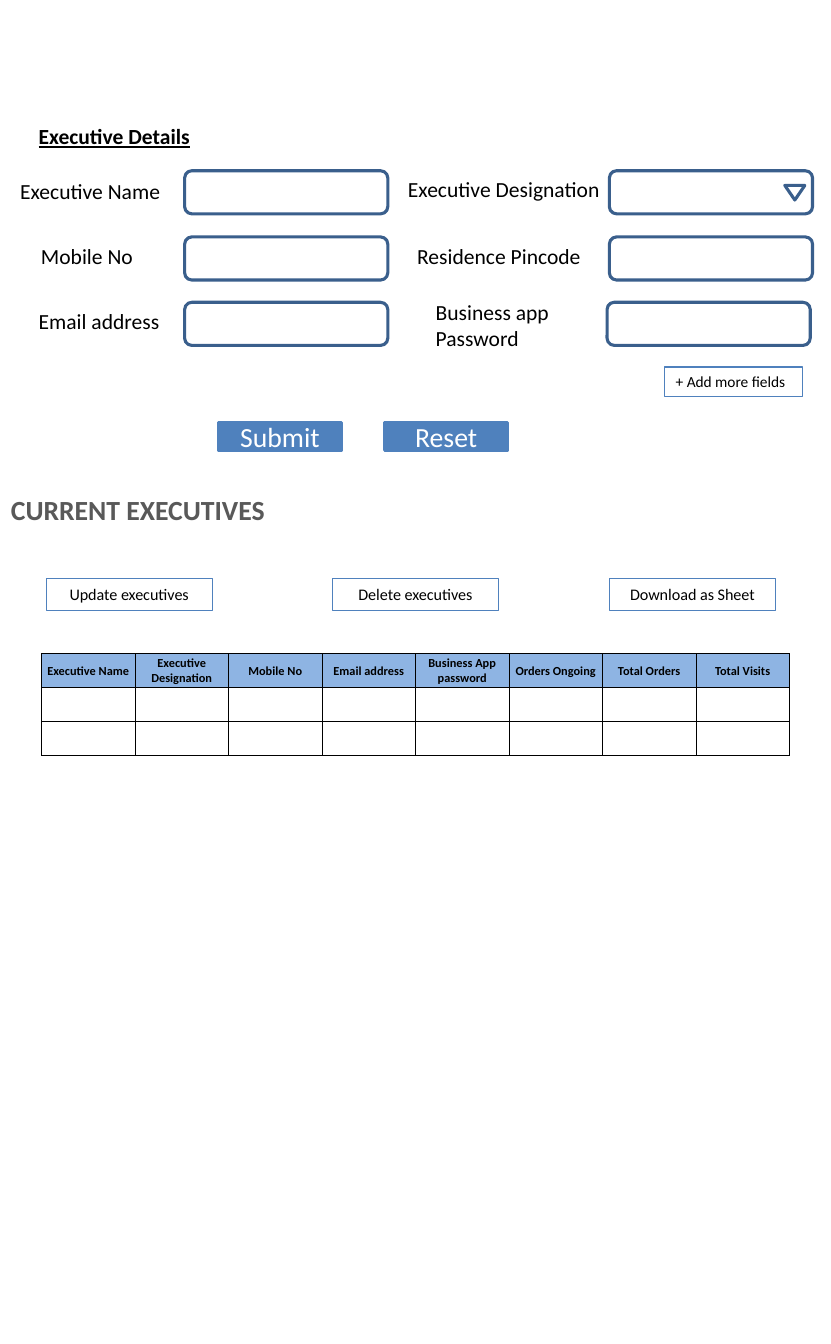
from dataclasses import dataclass

from lxml.etree import SubElement
from pptx import Presentation
from pptx.dml.color import RGBColor
from pptx.enum.shapes import MSO_SHAPE
from pptx.enum.text import MSO_ANCHOR, PP_ALIGN
from pptx.oxml.ns import qn
from pptx.util import Pt


@dataclass(frozen=True)
class Theme:
    """Colours, type sizes and line widths of the form."""
    font: str = "Calibri"
    ink: str = "000000"
    white: str = "FFFFFF"
    grey: str = "595959"
    field_line: str = "3A5F8C"
    accent: str = "4F81BD"
    header_fill: str = "8EB4E3"
    label_size: float = 14
    title_size: float = 18
    action_size: float = 10.5
    add_size: float = 10
    table_size: float = 8
    thick: float = 2
    thin: float = 0.75
    border: float = 0.5


THEME = Theme()
FIELD_SIZE = (132, 28)
FIELD_ROWS = (111, 154, 196.5)
# label, left, top, width, height
LABELS = (
    ("Executive Name", 6, 112, 108, 24.5),
    ("Mobile No", 19.5, 154.5, 96, 24.5),
    ("Email address", 18, 196.5, 96, 24.5),
    ("Executive Designation", 258, 111, 156, 24.5),
    ("Residence Pincode", 264, 154.5, 126, 24.5),
    ("Business app Password", 276, 191, 102, 41),
)
ACTIONS = (("Update executives", 30), ("Delete executives", 216),
           ("Download as Sheet", 396))
HEADERS = ("Executive Name", "Executive Designation", "Mobile No", "Email address",
           "Business App password", "Orders Ongoing", "Total Orders", "Total Visits")


def set_values(target, values):
    """Set each named attribute of the target."""
    for name, value in values.items():
        setattr(target, name, value)


def write(text_frame, text, size, color=THEME.ink, align=PP_ALIGN.LEFT, **font_values):
    """Write one paragraph in the theme font."""
    paragraph = text_frame.paragraphs[0]
    paragraph.alignment = align
    run = paragraph.add_run()
    run.text = text
    set_values(run.font, {"name": THEME.font, "size": Pt(size), **font_values})
    run.font.color.rgb = RGBColor.from_string(color)


def add_label(slide, text, left, top, width, height, size=THEME.label_size, **format_values):
    """Add a wrapped text box."""
    box = slide.shapes.add_textbox(Pt(left), Pt(top), Pt(width), Pt(height))
    box.text_frame.word_wrap = True
    write(box.text_frame, text, size, **format_values)


def add_outline(slide, kind, left, top, width, height, line, weight, fill=None):
    """Add a preset shape with an outline and an optional fill."""
    shape = slide.shapes.add_shape(kind, Pt(left), Pt(top), Pt(width), Pt(height))
    shape.shadow.inherit = False
    shape.line.color.rgb = RGBColor.from_string(line)
    shape.line.width = Pt(weight)
    if fill:
        shape.fill.solid()
        shape.fill.fore_color.rgb = RGBColor.from_string(fill)
    else:
        shape.fill.background()
    return shape


def add_field(slide, left, top):
    """Add an empty input field."""
    add_outline(slide, MSO_SHAPE.ROUNDED_RECTANGLE, left, top, *FIELD_SIZE,
                THEME.field_line, THEME.thick)


def add_dropdown_arrow(slide, left, top):
    """Add the downward triangle of a drop-down field."""
    arrow = add_outline(slide, MSO_SHAPE.ISOSCELES_TRIANGLE, left, top, 13, 9.5,
                        THEME.field_line, THEME.thick)
    arrow.rotation = 180


def add_action(slide, text, left, top, width, height, size, align=PP_ALIGN.CENTER):
    """Add a thinly outlined action box."""
    box = add_outline(slide, MSO_SHAPE.RECTANGLE, left, top, width, height,
                      THEME.accent, THEME.thin)
    set_values(box.text_frame, {"word_wrap": True, "vertical_anchor": MSO_ANCHOR.TOP})
    write(box.text_frame, text, size, align=align)


def add_button(slide, text, left):
    """Add a filled form button."""
    button = add_outline(slide, MSO_SHAPE.RECTANGLE, left, 274.5, 80, 18,
                         THEME.accent, THEME.thick, THEME.accent)
    button.text_frame.vertical_anchor = MSO_ANCHOR.MIDDLE
    write(button.text_frame, text, THEME.title_size, THEME.white, PP_ALIGN.CENTER)


def add_borders(cell):
    """Draw all four borders of a table cell."""
    properties = cell._tc.get_or_add_tcPr()
    for index, side in enumerate(("lnL", "lnR", "lnT", "lnB")):
        line = SubElement(properties, qn(f"a:{side}"), w=str(Pt(THEME.border)))
        fill = SubElement(line, qn("a:solidFill"))
        SubElement(fill, qn("a:srgbClr"), val=THEME.ink)
        properties.insert(index, line)


def add_executive_table(slide):
    """Add the table with a header row and two empty rows."""
    frame = slide.shapes.add_table(3, len(HEADERS), Pt(27), Pt(424.8), Pt(486), Pt(66))
    table = frame.table
    set_values(table, {"first_row": False, "horz_banding": False})
    for row in table.rows:
        row.height = Pt(22)
    for cell in table.iter_cells():
        set_values(cell, {"margin_left": Pt(0.75), "margin_right": Pt(0.75),
                          "margin_top": Pt(0.75), "margin_bottom": Pt(0),
                          "vertical_anchor": MSO_ANCHOR.MIDDLE})
        cell.fill.background()
        add_borders(cell)
    for column, header in enumerate(HEADERS):
        cell = table.cell(0, column)
        cell.fill.solid()
        cell.fill.fore_color.rgb = RGBColor.from_string(THEME.header_fill)
        write(cell.text_frame, header, THEME.table_size, align=PP_ALIGN.CENTER, bold=True)
        for row in (1, 2):
            paragraph = table.cell(row, column).text_frame.paragraphs[0]
            SubElement(paragraph._p, qn("a:endParaRPr"), sz=str(THEME.table_size * 100))


def main():
    """Build the executive form and save it."""
    presentation = Presentation()
    set_values(presentation, {"slide_width": Pt(540), "slide_height": Pt(873.5)})
    slide = presentation.slides.add_slide(presentation.slide_layouts[6])

    add_label(slide, "Executive Details", 18, 76.5, 120, 24.5, bold=True, underline=True)
    for label in LABELS:
        add_label(slide, *label)
    for top, right_left in zip(FIELD_ROWS, (396, 396, 394.5)):
        add_field(slide, 120, top)
        add_field(slide, right_left, top)
    add_dropdown_arrow(slide, 510, 120.5)
    add_action(slide, "+ Add more fields", 432, 238.5, 89.5, 19.5,
               THEME.add_size, PP_ALIGN.LEFT)
    for text, left in (("Submit", 142), ("Reset", 250)):
        add_button(slide, text, left)

    add_label(slide, "CURRENT EXECUTIVES", 0, 317, 186, 29, THEME.title_size,
              color=THEME.grey, bold=True)
    for text, left in ACTIONS:
        add_action(slide, text, left, 376, 108, 21, THEME.action_size)
    add_executive_table(slide)
    presentation.save("out.pptx")


if __name__ == "__main__":
    main()
